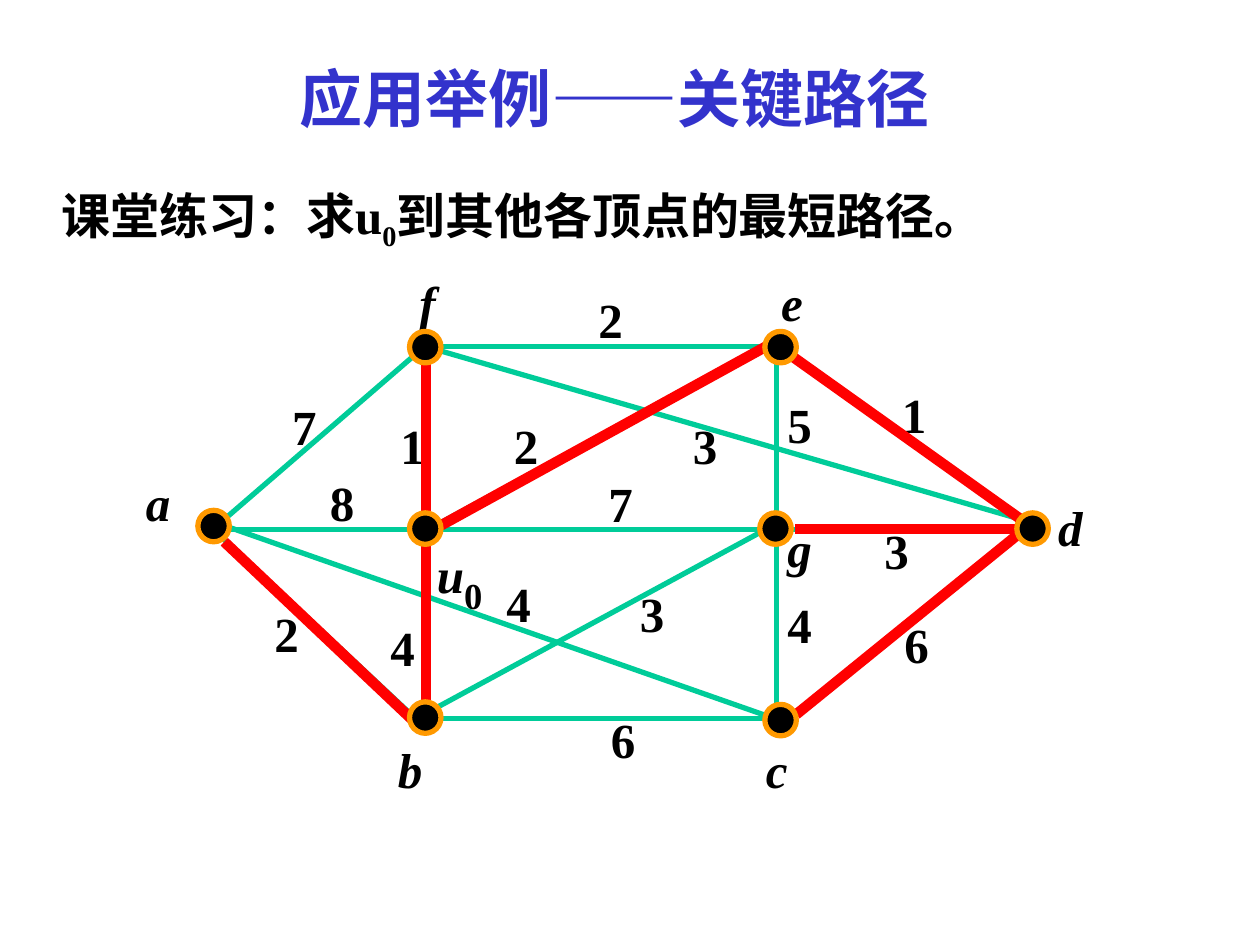
from lxml.etree import SubElement
from pptx import Presentation
from pptx.dml.color import RGBColor
from pptx.enum.shapes import MSO_CONNECTOR as CONNECTOR, MSO_SHAPE as SHAPE
from pptx.enum.text import MSO_ANCHOR as ANCHOR, MSO_AUTO_SIZE as AUTO_SIZE, PP_ALIGN as ALIGN
from pptx.oxml.ns import qn
from pptx.util import Emu, Pt

SCALE = 9144  # EMU per px, 100 px to the inch
FONT = "Times New Roman"
COLORS = {"title": "3333CC", "ink": "000000", "edge": "00CC99",
          "tree": "FF0000", "ring": "FF9900", "shadow": "808080"}
VERTEX_SIZE = 25
LABEL_HEIGHT = 57

# Positions inside the graph box
VERTICES = {"u0": (238, 220), "f": (238, 76), "a": (70, 218), "b": (238, 370),
            "e": (520, 76), "g": (516, 220), "d": (720, 220), "c": (520, 372)}
EDGES = [
    (231, 370, 521, 213), (231, 225, 521, 68), (514, 370, 69, 214),
    (713, 213, 241, 76), (237, 370, 237, 80), (516, 370, 516, 80),
    (69, 220, 237, 377), (237, 370, 520, 370), (520, 375, 719, 217),
    (69, 220, 719, 220), (69, 220, 237, 75), (237, 75, 520, 75),
    (520, 75, 719, 220),
]
TREE_EDGES = [
    (238, 83, 238, 213), (508, 75, 250, 217), (529, 83, 717, 217),
    (238, 233, 238, 358), (78, 230, 228, 372), (707, 220, 531, 220),
    (532, 367, 707, 225),
]
VERTEX_LABELS = [("a", 6, 170), ("b", 206, 382), ("c", 498, 382), ("d", 730, 190),
                 ("e", 510, 11), ("f", 223, 11), ("g", 515, 207)]
WEIGHTS = [
    ("7", 122, 110), ("6", 375, 358), ("2", 108, 274), ("8", 152, 170),
    ("1", 208, 125), ("4", 200, 285), ("4", 292, 250), ("3", 398, 258),
    ("4", 515, 267), ("7", 373, 171), ("2", 298, 125), ("3", 440, 125),
    ("5", 515, 108), ("6", 608, 283), ("3", 592, 208), ("2", 365, 25),
    ("1", 606, 100),
]


def px(*lengths):
    return [Emu(length * SCALE) for length in lengths]


def rgb(name):
    return RGBColor.from_string(COLORS[name])


def write(paragraph, text, size=28, color="ink", italic=False, subscript=False):
    run = paragraph.add_run()
    run.text = text
    font = run.font
    font.name, font.size, font.bold, font.italic = FONT, Pt(size), True, italic
    font.color.rgb = rgb(color)
    if subscript:
        run._r.get_or_add_rPr().set("baseline", "-25000")
    return run


def add_text_box(slide, left, top, width, height, wrap=False):
    frame = slide.shapes.add_textbox(*px(left, top, width, height)).text_frame
    frame.word_wrap = wrap
    return frame.paragraphs[0]


def add_edge(slide, origin, ends, color, weight):
    left, top = origin
    x1, y1, x2, y2 = ends
    edge = slide.shapes.add_connector(
        CONNECTOR.STRAIGHT, *px(left + x1, top + y1, left + x2, top + y2))
    edge.line.color.rgb = rgb(color)
    edge.line.width = Pt(weight)
    SubElement(edge._element.spPr, qn("a:effectLst"))


def add_vertex(slide, center_x, center_y):
    half = VERTEX_SIZE / 2
    vertex = slide.shapes.add_shape(
        SHAPE.OVAL, *px(int(center_x - half), int(center_y - half), VERTEX_SIZE, VERTEX_SIZE))
    vertex.shadow.inherit = False
    vertex.fill.solid()
    vertex.fill.fore_color.rgb = rgb("ink")
    vertex.line.color.rgb = rgb("ring")
    vertex.line.width = Pt(3)


def add_title(slide, left, top, width, height):
    title = slide.shapes.title
    title.left, title.top, title.width, title.height = px(left, top, width, height)
    frame = title.text_frame
    frame.auto_size = AUTO_SIZE.NONE
    frame.vertical_anchor = ANCHOR.TOP
    frame.paragraphs[0].alignment = ALIGN.LEFT
    run = write(frame.paragraphs[0], "应用举例——关键路径", size=36, color="title")
    # Text shadow, placed right after the fill
    properties = run._r.get_or_add_rPr()
    effects = SubElement(properties, qn("a:effectLst"))
    properties.find(qn("a:solidFill")).addnext(effects)
    shadow = SubElement(effects, qn("a:outerShdw"), dist="35921", dir="2700000")
    SubElement(shadow, qn("a:srgbClr"), val=COLORS["shadow"])


def add_exercise(slide, left, top, width, height):
    exercise = add_text_box(slide, left, top, width, height, wrap=True)
    write(exercise, "课堂练习：求u")
    write(exercise, "0", subscript=True)
    write(exercise, "到其他各顶点的最短路径。")


def add_graph(slide, left, top):
    # All edges
    for ends in EDGES:
        add_edge(slide, (left, top), ends, "edge", 3)

    # Vertex names and edge weights
    for labels, italic in ((VERTEX_LABELS, True), (WEIGHTS, False)):
        for text, x, y in labels:
            label = add_text_box(slide, left + x, top + y, 39, LABEL_HEIGHT)
            write(label, text, italic=italic)
    source_label = add_text_box(slide, left + 237, top + 216, 56, 79)
    write(source_label, "u", italic=True)
    write(source_label, "0", size=36, subscript=True)

    # Shortest-path tree, then vertices on top
    for ends in TREE_EDGES:
        add_edge(slide, (left, top), ends, "tree", 6)
    for x, y in VERTICES.values():
        add_vertex(slide, left + x, top + y)


def main():
    deck = Presentation()
    deck.slide_width, deck.slide_height = px(1000, 750)
    slide = deck.slides.add_slide(deck.slide_layouts[5])
    add_title(slide, 228, 42, 580, 70)
    add_exercise(slide, 39, 142, 820, 63)
    add_graph(slide, 100, 200)
    deck.save("out.pptx")


if __name__ == "__main__":
    main()
